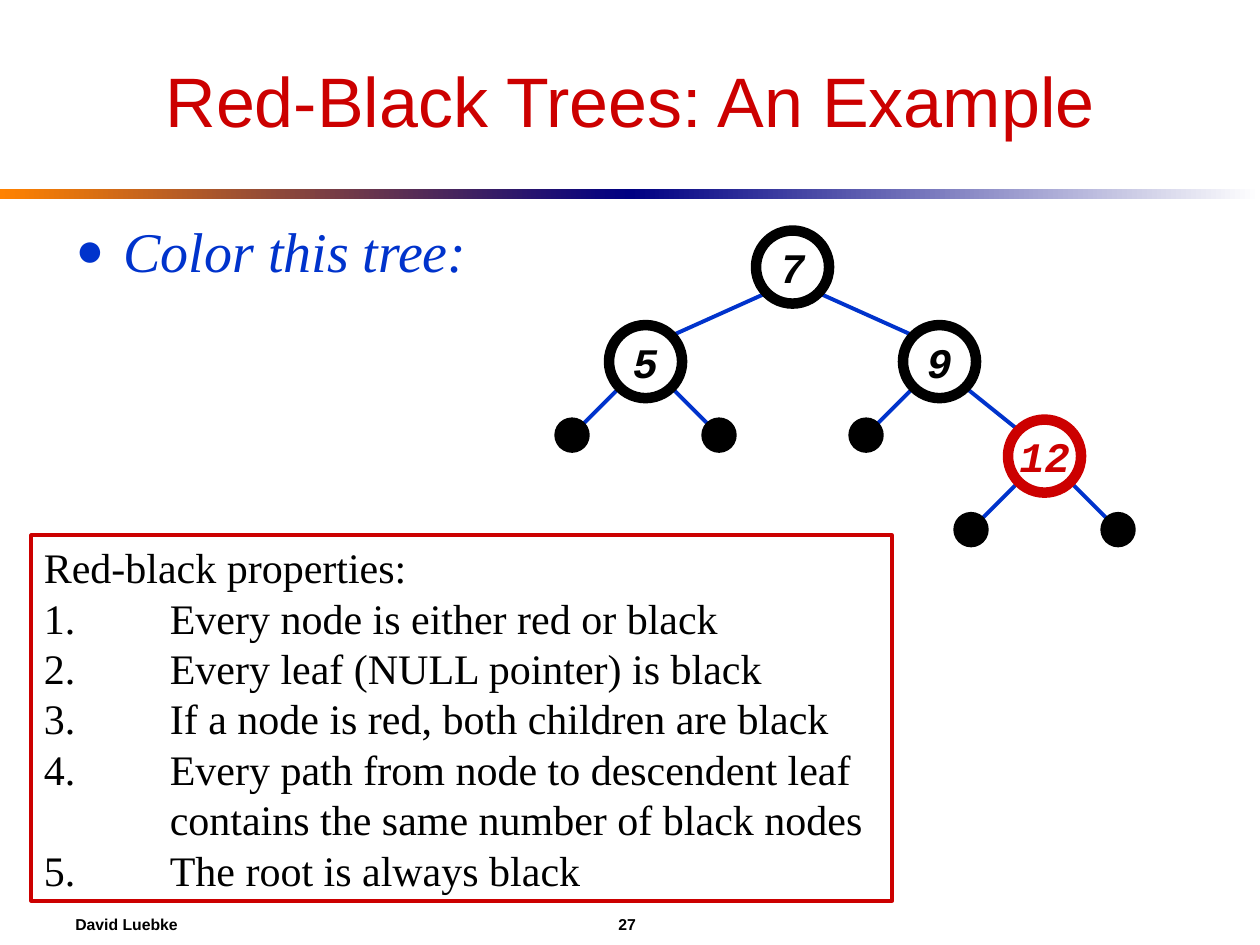
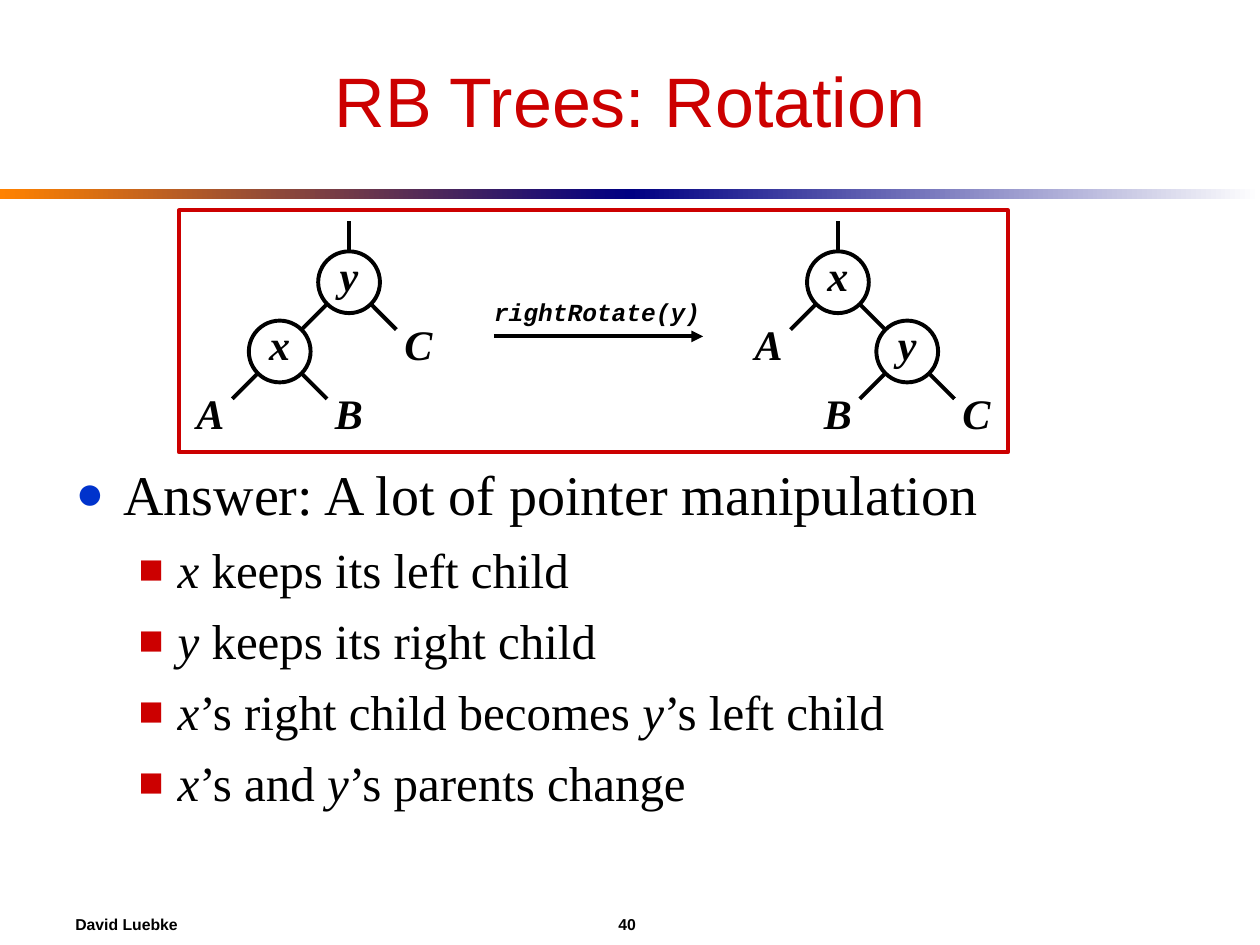
import math

import pptx
import pptx.dml.color
import pptx.enum.shapes
import pptx.enum.text
import pptx.oxml
import pptx.oxml.ns
import pptx.util

Inches, Pt = pptx.util.Inches, pptx.util.Pt
SHAPE = pptx.enum.shapes.MSO_SHAPE
ALIGN = pptx.enum.text.PP_ALIGN
MIDDLE = pptx.enum.text.MSO_ANCHOR.MIDDLE

COLORS = {"red": "CC0000", "blue": "0033CC", "navy": "000082",
          "orange": "FF8200", "black": "000000", "white": "FFFFFF"}
SANS, SERIF, MONO = "Arial", "Times New Roman", "Courier New"
W, H = 10, 7.5
AUTHOR = "David Luebke"
LINE = 2.25

# level: bullet, bullet colour, left margin, hang, size, space before
LEVELS = [("●", "blue", 0.38, 0.38, 32, 8),
          ("■", "red", 0.81, 0.31, 28, 7)]

EXAMPLE = {
    "title": "Red-Black Trees: An Example", "number": 27,
    "body_top": 1.67, "body_color": "blue",
    "body": [(0, "*Color this tree:*")],
}
ROTATION = {
    "title": "RB Trees: Rotation", "number": 40,
    "body_top": 3.6, "body_color": "black",
    "body": [(0, "Answer: A lot of pointer manipulation"),
             (1, "*x* keeps its left child"),
             (1, "*y* keeps its right child"),
             (1, "*x*’s right child becomes *y*’s left child"),
             (1, "*x*’s and *y*’s parents change")],
}
PROPERTIES = ["Every node is either red or black",
              "Every leaf (NULL pointer) is black",
              "If a node is red, both children are black",
              "Every path from node to descendent leaf "
              "contains the same number of black nodes",
              "The root is always black"]

# kind: diameter, fill, outline, outline width, font, line spacing
KINDS = {"black": (0.58, "white", "black", 6, MONO, 1),
         "red": (0.58, "white", "red", 6, MONO, 1),
         "leaf": (0.25, "black", "black", LINE, MONO, 1),
         "ring": (0.49, "white", "black", LINE, SERIF, 0.6),
         "subtree": (0.49, "white", None, 0, SERIF, 0.6)}

# node: label, kind, parent, column, row
COLORED_TREE = [("7", "black", None, 0, 0), ("5", "black", 0, -14, 9),
                ("9", "black", 0, 14, 9), ("12", "red", 2, 24, 18),
                ("", "leaf", 1, -21, 16), ("", "leaf", 1, -7, 16),
                ("", "leaf", 2, 7, 16), ("", "leaf", 3, 17, 25),
                ("", "leaf", 3, 31, 25)]
BEFORE = [("y", "ring", None, 0, 0), ("x", "ring", 0, -1, 1), ("C", "subtree", 0, 1, 1),
          ("A", "subtree", 1, -2, 2), ("B", "subtree", 1, 0, 2)]
AFTER = [("x", "ring", None, 0, 0), ("A", "subtree", 0, -1, 1), ("y", "ring", 0, 1, 1),
         ("B", "subtree", 2, 0, 2), ("C", "subtree", 2, 2, 2)]


def rgb(name):
    return pptx.dml.color.RGBColor.from_string(COLORS[name])


def box(x, y, w, h):
    return [Inches(v) for v in (x, y, w, h)]


def style(p, size, font, color, bold=None, italic=None):
    for r in p.runs:
        f = r.font
        f.size, f.name, f.color.rgb = Pt(size), font, rgb(color)
        if bold is not None:
            f.bold = bold
        if italic is not None:
            f.italic = italic


def add_ppr(p, *items, **attrs):
    ppr = p._p.get_or_add_pPr()
    for key, value in attrs.items():
        ppr.set(key, str(value))
    ns = pptx.oxml.ns.nsdecls("a")
    for item in items:
        tag, rest = (item + " ").split(" ", 1)
        ppr.append(pptx.oxml.parse_xml(item.replace("<" + tag[1:], f"<{tag[1:]} {ns}", 1)
                                       if rest else item))


def hang(p, margin, indent, *items):
    add_ppr(p, *items, marL=Inches(margin), indent=-Inches(indent))


def add_shape(s, kind, at, fill=None, line=None, width=LINE):
    sp = s.shapes.add_shape(kind, *box(*at))
    sp.shadow.inherit = False
    if fill:
        sp.fill.solid()
        sp.fill.fore_color.rgb = rgb(fill)
    else:
        sp.fill.background()
    if line:
        sp.line.color.rgb, sp.line.width = rgb(line), Pt(width)
    else:
        sp.line.fill.background()
    return sp


def add_line(s, x1, y1, x2, y2, color, arrow=False):
    c = s.shapes.add_connector(pptx.enum.shapes.MSO_CONNECTOR.STRAIGHT, *box(x1, y1, x2, y2))
    c.line.color.rgb, c.line.width = rgb(color), Pt(LINE)
    ns = pptx.oxml.ns.nsdecls("a")
    if arrow:
        c.line._get_or_add_ln().append(pptx.oxml.parse_xml(f'<a:tailEnd {ns} type="triangle"/>'))
    c._element.spPr.append(pptx.oxml.parse_xml(f"<a:effectLst {ns}/>"))


def add_text(s, at, text, wrap):
    tf = s.shapes.add_textbox(*box(*at)).text_frame
    tf.word_wrap, tf.vertical_anchor = wrap, MIDDLE
    tf.text = text
    return tf.paragraphs[0]


def add_tree(s, nodes, x0, y0, step, edge_color):
    placed = [(x0 + col * step, y0 + row * step, KINDS[kind][0] / 2 * math.sqrt(0.5))
              for _, kind, _, col, row in nodes]
    for (_, _, parent, _, _), (x, y, d) in zip(nodes, placed):
        if parent is not None:
            px, py, pd = placed[parent]
            side = math.copysign(1, x - px)
            add_line(s, px + side * pd, py + pd, x - side * d, y - d, edge_color)
    for (label, kind, *_), (x, y, _) in zip(nodes, placed):
        size, fill, line, width, font, spacing = KINDS[kind]
        sp = add_shape(s, SHAPE.OVAL, (x - size / 2, y - size / 2, size, size), fill, line, width)
        if label:
            tf = sp.text_frame
            tf.word_wrap, tf.vertical_anchor = False, MIDDLE
            tf.text = label
            p = tf.paragraphs[0]
            p.alignment, p.line_spacing = ALIGN.CENTER, spacing
            style(p, 24, font, line or "black", True, True)


def setup_layout(layout, s):
    title = layout.placeholders[0]
    title.left, title.top, title.width, title.height = box(0.05 * W, 0.25, 0.9 * W, 1.08)
    for i, ends in enumerate([("orange", "navy"), ("navy", "white")]):
        sp = add_shape(s, SHAPE.RECTANGLE, (i * W / 2, 0.2 * H, W / 2, 0.08))
        sp.fill.gradient()
        sp.fill.gradient_angle = 0
        for stop, color in zip(sp.fill.gradient_stops, ends):
            stop.color.rgb = rgb(color)
        sp._element.nvSpPr.cNvPr.set("id", str(20 + i))
        layout.shapes.element.append(sp._element)


def fill_slide(s, data):
    s.shapes.title.text = data["title"]
    p = s.shapes.title.text_frame.paragraphs[0]
    p.alignment = ALIGN.CENTER
    style(p, 40, SANS, "red")

    body = s.placeholders[1]
    top = data["body_top"]
    body.left, body.top, body.width, body.height = box(0.05 * W, top, 0.9 * W, 6.6 - top)
    tf = body.text_frame
    tf.auto_size = pptx.enum.text.MSO_AUTO_SIZE.NONE
    for i, (level, text) in enumerate(data["body"]):
        p = tf.paragraphs[0] if i == 0 else tf.add_paragraph()
        char, color, margin, indent, size, before = LEVELS[level]
        p.level = level
        hang(p, margin, indent, f'<a:buClr><a:srgbClr val="{COLORS[color]}"/></a:buClr>',
             '<a:buSzPct val="85000"/>', f'<a:buChar char="{char}"/>')
        p.space_before, p.line_spacing = Pt(before if i else 0), Pt(1.2 * size)
        for j, part in enumerate(text.split("*")):
            if part:
                r = p.add_run()
                r.text, r.font.italic = part, j % 2 == 1
        style(p, size, SERIF, data["body_color"])

    p = add_text(s, (0.05 * W, 7.17, 0.9 * W, 0.33), f"{AUTHOR}\t{data['number']}", True)
    add_ppr(p, f'<a:tabLst><a:tab pos="{Inches(4.31)}" algn="l"/></a:tabLst>')
    style(p, 9, SANS, "black", True)


def draw_example(s):
    add_tree(s, COLORED_TREE, 6.29, 2.12, 1 / 12, "blue")
    tf = add_shape(s, SHAPE.RECTANGLE, (0.25, 4.25, 6.83, 2.9), None, "red").text_frame
    tf.word_wrap, tf.vertical_anchor = True, MIDDLE
    tf.text = "\n".join(["Red-black properties:"] + PROPERTIES)
    for i, p in enumerate(tf.paragraphs):
        if i:
            hang(p, 1, 1, '<a:buFont typeface="+mj-lt"/>', '<a:buAutoNum type="arabicPeriod"/>')
        p.alignment, p.line_spacing = ALIGN.LEFT, Pt(28.8)
        style(p, 24, SERIF, "black")
        if i:
            p._p.pPr.find(pptx.oxml.ns.qn("a:buFont")).set("typeface", SERIF)


def draw_rotation(s):
    for nodes, x in ((BEFORE, 2.77), (AFTER, 6.65)):
        add_line(s, x, 2, x, 1.75, "black")
        add_tree(s, nodes, x, 2.24, 0.55, "black")
    p = add_text(s, (3.82, 2.3, 1.84, 0.34), "rightRotate(y)", False)
    p.alignment = ALIGN.CENTER
    style(p, 14, MONO, "black", True, True)
    add_line(s, 3.92, 2.67, 5.58, 2.67, "black", arrow=True)
    add_shape(s, SHAPE.RECTANGLE, (1.42, 1.67, 6.58, 1.92), None, "red")


def add_ppr(p, *items, **attrs):
    ppr = p._p.get_or_add_pPr()
    for key, value in attrs.items():
        ppr.set(key, str(value))
    ns = pptx.oxml.ns.nsdecls("a")
    for child in pptx.oxml.parse_xml(f"<a:pPr {ns}>{''.join(items)}</a:pPr>"):
        ppr.append(child)


def main():
    prs = pptx.Presentation()
    prs.slide_width, prs.slide_height = Inches(W), Inches(H)
    layout = prs.slide_layouts[1]
    for i, (data, draw) in enumerate([(EXAMPLE, draw_example), (ROTATION, draw_rotation)]):
        s = prs.slides.add_slide(layout)
        if i == 0:
            setup_layout(layout, s)
        fill_slide(s, data)
        draw(s)
    prs.save("out.pptx")


if __name__ == "__main__":
    main()
